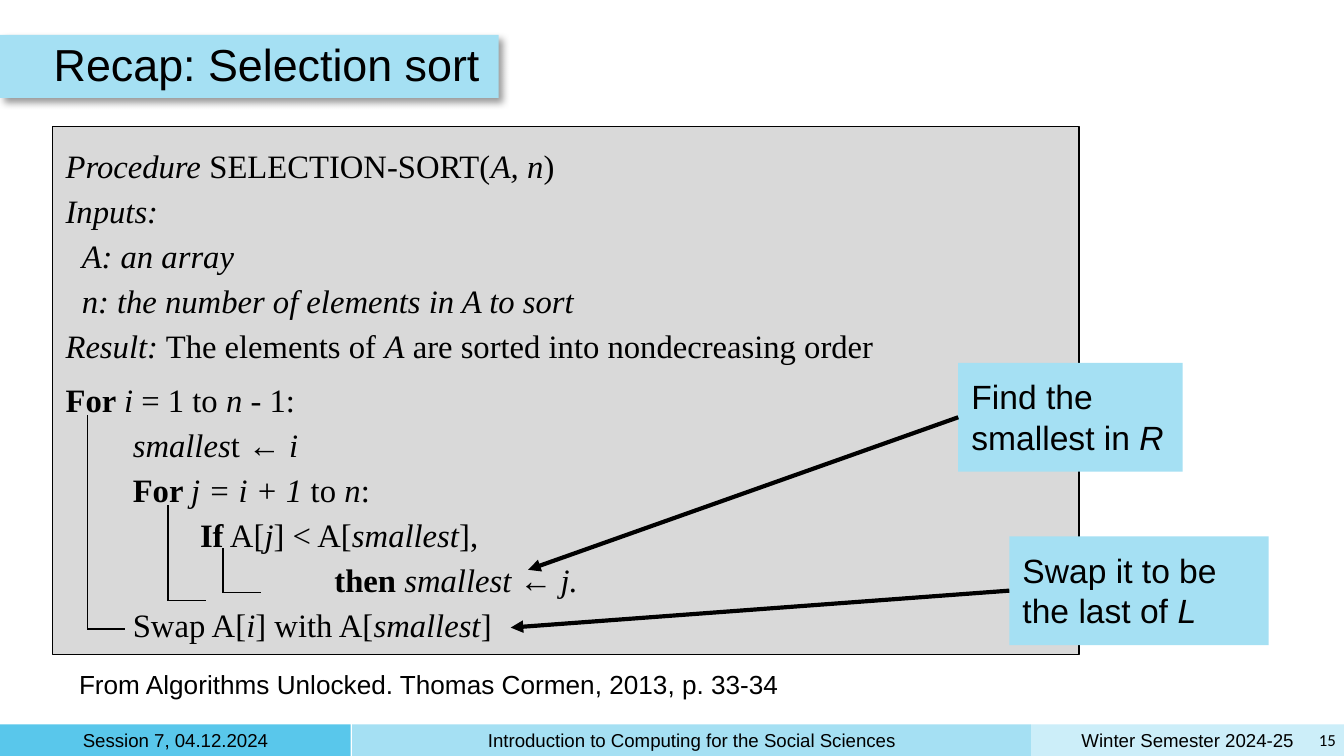
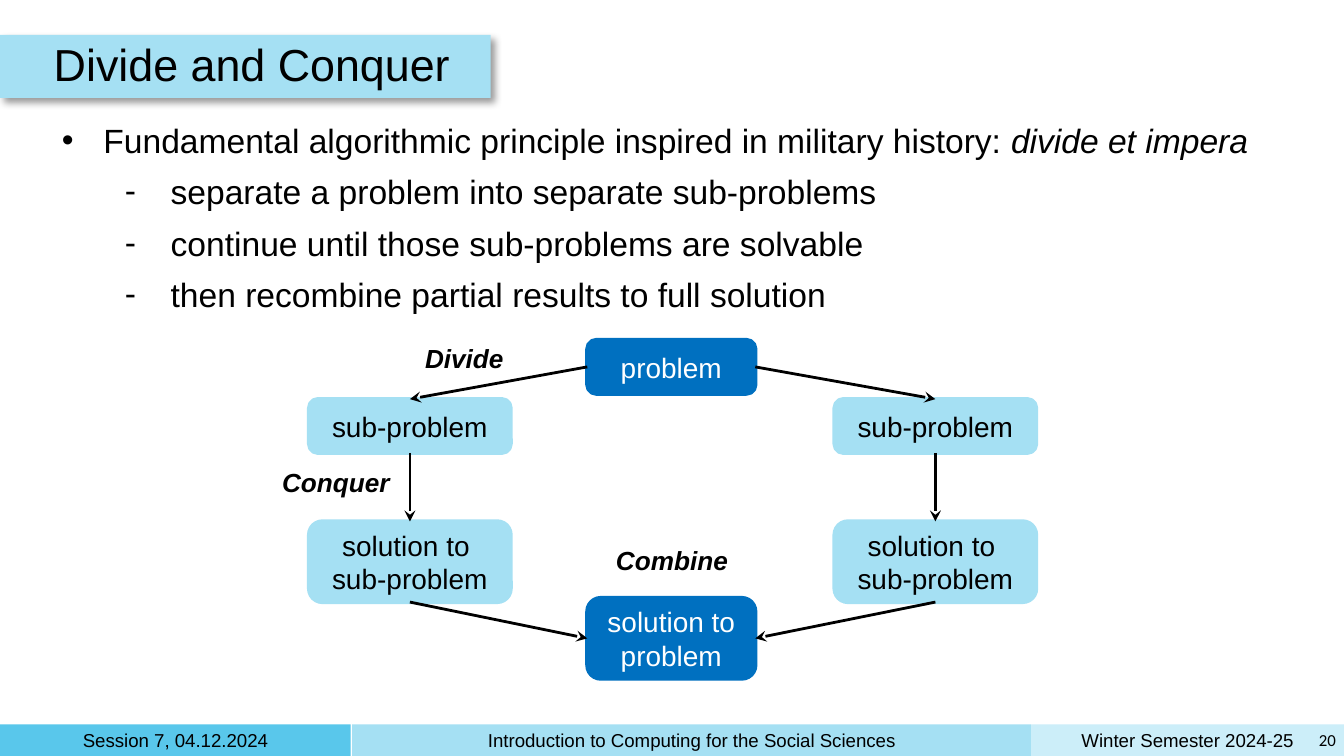
from dataclasses import dataclass

from lxml.etree import SubElement
from pptx import Presentation
from pptx.dml.color import RGBColor
from pptx.enum.shapes import MSO_CONNECTOR, MSO_SHAPE
from pptx.enum.text import MSO_ANCHOR, PP_ALIGN
from pptx.oxml.ns import qn
from pptx.util import Inches, Pt


@dataclass(frozen=True)
class Theme:
    black: str = "000000"
    white: str = "FFFFFF"
    grey: str = "D9D9D9"
    strong_blue: str = "0070C0"
    bright_blue: str = "59C7EB"
    light_blue: str = "A5E0F3"
    pale_blue: str = "CCEEF9"
    font: str = "Arial"
    code_font: str = "Times New Roman"
    number_font: str = "Calibri"
    title_size: float = 24
    body_size: float = 18
    code_size: float = 17.5
    box_size: float = 15
    label_size: float = 14
    footer_size: float = 10
    number_size: float = 9


THEME = Theme()
TOP, LEFT, BOTTOM, RIGHT = range(4)  # connection sites of a box


@dataclass
class Line:
    """One paragraph: runs of (text, style), where style holds b and/or i."""
    runs: list
    left: float = 0
    first: float = 0
    before: float = 0
    bullet: str = ""
    level: int = 0


def plain(text, style=""):
    return [Line([(text, style)])]


def add_bullet(paragraph, character):
    properties = paragraph._p.get_or_add_pPr()
    color = SubElement(properties, qn("a:buClr"))
    SubElement(color, qn("a:srgbClr"), val=THEME.black)
    SubElement(properties, qn("a:buFont"), typeface=THEME.font)
    SubElement(properties, qn("a:buChar"), char=character)


def add_styled_run(paragraph, text, style, size, color, font):
    run = paragraph.add_run()
    run.text = text
    run.font.name = font
    run.font.size = Pt(size)
    run.font.bold = "b" in style
    run.font.italic = "i" in style
    run.font.color.rgb = RGBColor.from_string(color)


def write(shape, lines, size, color=THEME.black, font=THEME.font,
          align=PP_ALIGN.LEFT, anchor=MSO_ANCHOR.TOP, inset=0.1, spacing=None):
    frame = shape.text_frame
    frame.word_wrap = True
    frame.vertical_anchor = anchor
    frame.margin_left = frame.margin_right = Inches(inset)
    frame.margin_top = frame.margin_bottom = Inches(inset)
    for index, line in enumerate(lines):
        paragraph = frame.add_paragraph() if index else frame.paragraphs[0]
        paragraph.alignment = align
        paragraph.level = line.level
        paragraph.space_before = Pt(line.before)
        if spacing:
            paragraph.line_spacing = spacing
        properties = paragraph._p.get_or_add_pPr()
        properties.set("marL", str(Inches(line.left)))
        properties.set("indent", str(Inches(line.first)))
        properties.set("defTabSz", str(Inches(1)))
        if line.bullet:
            add_bullet(paragraph, line.bullet)
        for text, style in line.runs:
            if text == "\n":
                paragraph.add_line_break()
            else:
                add_styled_run(paragraph, text, style, size, color, font)


def add_box(slide, place, fill, outline=None, width=0.75,
            kind=MSO_SHAPE.RECTANGLE):
    shape = slide.shapes.add_shape(kind, *map(Inches, place))
    shape.shadow.inherit = False
    shape.fill.solid()
    shape.fill.fore_color.rgb = RGBColor.from_string(fill)
    if outline:
        shape.line.color.rgb = RGBColor.from_string(outline)
        shape.line.width = Pt(width)
    else:
        shape.line.fill.background()
    return shape


def add_text(slide, place, lines, size, **options):
    write(slide.shapes.add_textbox(*map(Inches, place)), lines, size, **options)


def add_line(slide, start, end, width=0.75, head=None):
    """Each end is an (x, y) point or a (shape, connection site) pair."""
    connector = slide.shapes.add_connector(MSO_CONNECTOR.STRAIGHT, 0, 0, 0, 0)
    if isinstance(start[0], float):
        connector.begin_x, connector.begin_y = map(Inches, start)
    else:
        connector.begin_connect(*start)
    if isinstance(end[0], float):
        connector.end_x, connector.end_y = map(Inches, end)
    else:
        connector.end_connect(*end)
    connector.line.color.rgb = RGBColor.from_string(THEME.black)
    connector.line.width = Pt(width)
    properties = connector._element.spPr
    if head:
        SubElement(properties.find(qn("a:ln")), qn("a:tailEnd"), type=head)
    SubElement(properties, qn("a:effectLst"))


def add_drop_shadow(shape):
    effects = shape._element.spPr.find(qn("a:effectLst"))
    shadow = SubElement(effects, qn("a:outerShdw"), blurRad=str(Pt(4)),
                        dist=str(Pt(3)), dir=str(45 * 60000), algn="tl",
                        rotWithShape="0")
    color = SubElement(shadow, qn("a:srgbClr"), val=THEME.black)
    SubElement(color, qn("a:alpha"), val="40000")


def add_title(slide, title, band_width):
    add_drop_shadow(add_box(slide, (0, 0.26, band_width, 0.47), THEME.light_blue))
    add_text(slide, (0.35, 0.26, 8.6, 0.47), plain(title), THEME.title_size,
             anchor=MSO_ANCHOR.MIDDLE, inset=0.05, spacing=0.9)


def add_footer(slide, number):
    bands = (
        (7.67, 2.33, THEME.pale_blue, "Winter Semester 2024-25"),
        (0, 2.61, THEME.bright_blue, "Session 7, 04.12.2024"),
        (2.62, 5.05, THEME.light_blue,
         "Introduction to Computing for the Social Sciences"),
    )
    for left, width, fill, text in bands:
        band = add_box(slide, (left, 5.39, width, 0.24), fill)
        write(band, plain(text), THEME.footer_size, align=PP_ALIGN.CENTER,
              anchor=MSO_ANCHOR.MIDDLE, inset=0.05)
    add_text(slide, (9.75, 5.38, 0.24, 0.25), plain(str(number)),
             THEME.number_size, font=THEME.number_font, align=PP_ALIGN.RIGHT,
             anchor=MSO_ANCHOR.MIDDLE, inset=0.05)


def add_slide(presentation, title, band_width, number):
    slide = presentation.slides.add_slide(presentation.slide_layouts[6])
    add_footer(slide, number)
    add_title(slide, title, band_width)
    return slide


def add_scope_bracket(slide, left, top, bottom):
    add_line(slide, (left, top), (left, bottom))
    add_line(slide, (left, bottom), (left + 0.28, bottom))


def add_callout(slide, place, text, symbol, target):
    callout = add_box(slide, place, THEME.light_blue)
    write(callout, [Line([(text, ""), (symbol, "i")])], THEME.body_size)
    add_line(slide, (callout, LEFT), target, 2.25, "triangle")


def add_node(slide, place, texts, fill, color):
    node = add_box(slide, place, fill, fill, 2.25, MSO_SHAPE.ROUNDED_RECTANGLE)
    write(node, [Line([(text, "")]) for text in texts], THEME.box_size, color,
          align=PP_ALIGN.CENTER, anchor=MSO_ANCHOR.MIDDLE)
    return node


def build_selection_sort(presentation):
    slide = add_slide(presentation, "Recap: Selection sort", 3.71, 15)
    add_text(slide, (0.49, 4.87, 5.54, 0.44),
             plain("From Algorithms Unlocked. Thomas Cormen, 2013, p. 33-34"),
             THEME.label_size)
    procedure = [
        Line([("Procedure ", "i"), ("SELECTION-SORT(", ""), ("A, n", "i"),
              (")", "")]),
        Line([("Inputs:", "i")]),
        Line([("A: an array", "i")], left=0.12),
        Line([("n: the number of elements in A to sort", "i")], left=0.12),
        Line([("Result:", "i"), (" The elements of ", ""), ("A", "i"),
              (" are sorted into nondecreasing order", "")]),
        Line([("For ", "b"), ("i", "i"), (" = 1 to ", ""), ("n", "i"),
              (" - 1:", "")], before=5),
        Line([("smalles", "i"), ("t ← ", ""), ("i", "i")], first=0.5),
        Line([("For ", "b"), ("j = i + 1", "i"), (" to ", ""), ("n", "i"),
              (":", "")], first=0.5),
        Line([("If", "b"), (" A[", ""), ("j", "i"), ("] < A[", ""),
              ("smallest", "i"), ("], ", ""), ("\n", ""), ("\t", ""),
              ("then ", "b"), ("smallest", "i"), (" ← ", ""), ("j.", "i")],
             left=1),
        Line([("Swap A[", ""), ("i", "i"), ("] with A[", ""),
              ("smallest", "i"), ("]", "")], first=0.5),
    ]
    panel = add_box(slide, (0.39, 0.94, 7.64, 3.93), THEME.grey, THEME.black)
    write(panel, procedure, THEME.code_size, font=THEME.code_font, spacing=1.15)
    for left, top, bottom in ((0.65, 3.09, 4.68), (1.25, 3.76, 4.47),
                              (1.66, 4.08, 4.41)):
        add_scope_bracket(slide, left, top, bottom)
    add_callout(slide, (7.13, 2.7, 1.67, 0.81), "Find the smallest in ", "R",
                (3.93, 4.24))
    add_callout(slide, (7.51, 3.99, 1.93, 0.81), "Swap it to be the last of ",
                "L", (3.8, 4.67))


def build_divide_and_conquer(presentation):
    slide = add_slide(presentation, "Divide and Conquer", 3.65, 20)
    principle = [Line([("Fundamental algorithmic principle inspired in military "
                        "history: ", ""), ("divide et impera", "i")],
                      left=0.31, first=-0.33, bullet="•")]
    for step in ("separate a problem into separate sub-problems",
                 "continue until those sub-problems are solvable",
                 "then recombine partial results to full solution"):
        principle.append(Line([(step, "")], left=0.81, first=-0.34, before=6,
                              bullet="-", level=1))
    add_text(slide, (0.41, 0.84, 9.19, 1.57), principle, THEME.body_size,
             inset=0.05)

    problem = add_node(slide, (4.37, 2.53, 1.25, 0.4), ["problem"],
                       THEME.strong_blue, THEME.white)
    solution = add_node(slide, (4.37, 4.45, 1.25, 0.6), ["solution to problem"],
                        THEME.strong_blue, THEME.white)
    for left, side in ((2.3, LEFT), (6.21, RIGHT)):
        part = add_node(slide, (left, 2.97, 1.5, 0.4), ["sub-problem"],
                        THEME.light_blue, THEME.black)
        part_solution = add_node(slide, (left, 3.88, 1.5, 0.6),
                                 ["solution to ", "sub-problem"],
                                 THEME.light_blue, THEME.black)
        for start, end in (((problem, side), (part, TOP)),
                           ((part, BOTTOM), (part_solution, TOP)),
                           ((part_solution, BOTTOM), (solution, side))):
            add_line(slide, start, end, 1.5, "stealth")

    for label, left, top, width in (("Divide", 3.03, 2.45, 0.85),
                                    ("Conquer", 1.95, 3.37, 1.1),
                                    ("Combine", 4.45, 3.95, 1.1)):
        add_text(slide, (left, top, width, 0.4), plain(label, "bi"),
                 THEME.label_size, align=PP_ALIGN.CENTER)


def main():
    presentation = Presentation()
    presentation.slide_width = Inches(10)
    presentation.slide_height = Inches(10) * 9 // 16
    build_selection_sort(presentation)
    build_divide_and_conquer(presentation)
    presentation.save("out.pptx")


if __name__ == "__main__":
    main()
